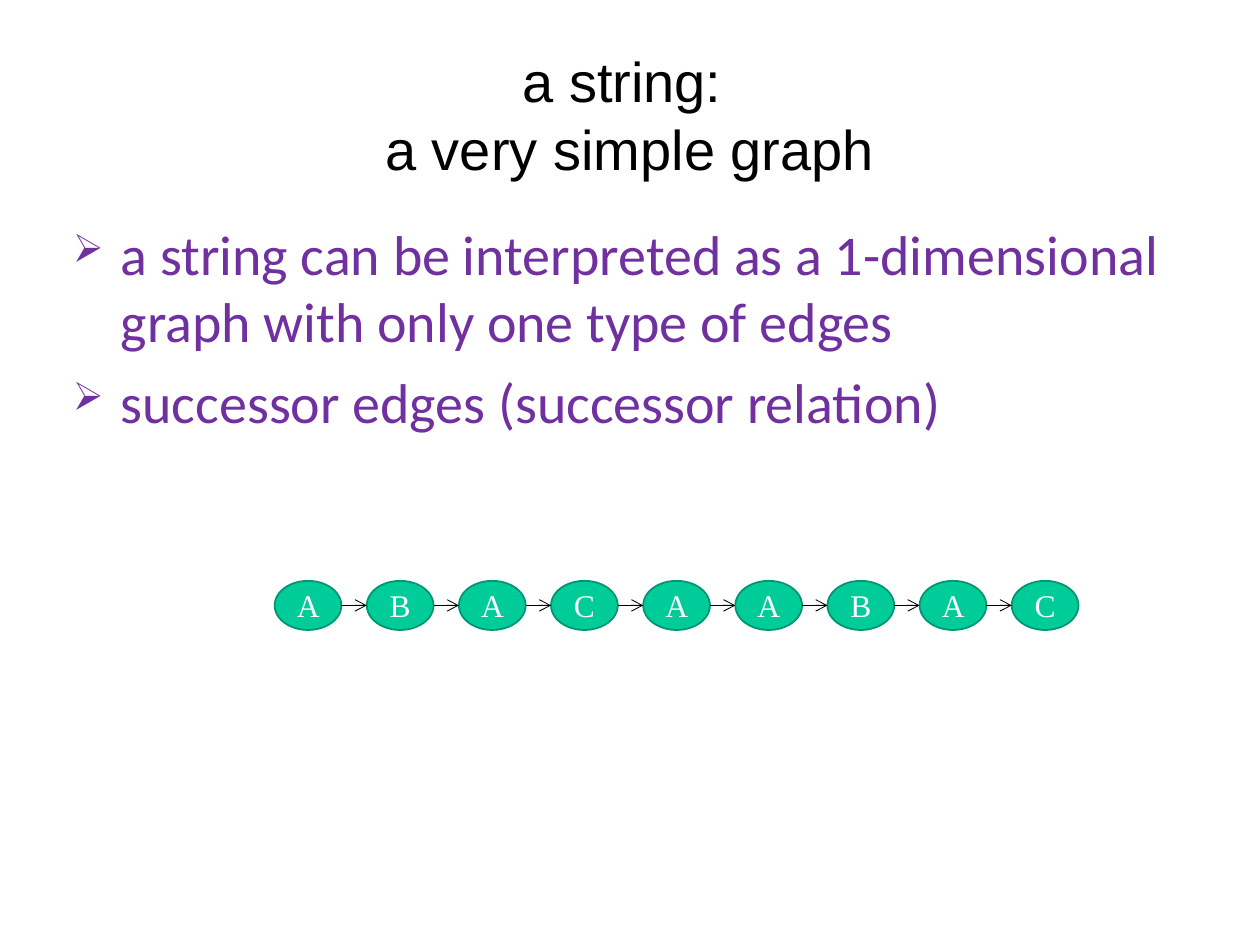
from lxml.etree import SubElement
from pptx import Presentation
from pptx.dml.color import RGBColor
from pptx.enum.shapes import MSO_CONNECTOR, MSO_SHAPE
from pptx.enum.text import MSO_ANCHOR, PP_ALIGN
from pptx.oxml.ns import qn
from pptx.util import Inches, Pt

COLORS = {
    "title": "000000",
    "body": "7030A0",
    "node": "00CC99",
    "node_line": "00956F",
    "node_text": "FFFFFF",
    "edge": "000000",
}
BULLETS = [
    "a string can be interpreted as a 1-dimensional graph with only one type of edges",
    "successor edges (successor relation)",
]


def color(name):
    return RGBColor.from_string(COLORS[name])


def set_font(paragraph, name, size, color_name):
    paragraph.font.name = name
    paragraph.font.size = Pt(size)
    paragraph.font.color.rgb = color(color_name)


def add_title(slide, left, top, width, height):
    frame = slide.shapes.add_textbox(*map(Inches, (left, top, width, height))).text_frame
    frame.word_wrap = True
    frame.vertical_anchor = MSO_ANCHOR.MIDDLE
    paragraph = frame.paragraphs[0]
    paragraph.text = "a string: \va very simple graph"
    paragraph.alignment = PP_ALIGN.CENTER
    set_font(paragraph, "Arial", 32, "title")


def add_bullet_mark(paragraph):
    properties = paragraph._p.get_or_add_pPr()
    properties.set("marL", str(Inches(0.38)))
    properties.set("indent", str(-Inches(0.38)))
    mark_color = SubElement(properties, qn("a:buClr"))
    SubElement(mark_color, qn("a:srgbClr"), val=COLORS["body"])
    SubElement(properties, qn("a:buSzPct"), val="70000")
    SubElement(properties, qn("a:buChar"), char="➢")


def add_bullets(slide, left, top, width, height):
    frame = slide.shapes.add_textbox(*map(Inches, (left, top, width, height))).text_frame
    frame.word_wrap = True
    for index, text in enumerate(BULLETS):
        paragraph = frame.add_paragraph() if index else frame.paragraphs[0]
        paragraph.text = text
        paragraph.space_before = Pt(8)
        add_bullet_mark(paragraph)
        set_font(paragraph, "Calibri", 32, "body")


def add_node(slide, letter, left, top, width, height):
    node = slide.shapes.add_shape(
        MSO_SHAPE.OVAL, *map(Inches, (left, top, width, height)))
    node.shadow.inherit = False
    node.fill.solid()
    node.fill.fore_color.rgb = color("node")
    node.line.color.rgb = color("node_line")
    node.line.width = Pt(1)
    frame = node.text_frame
    frame.vertical_anchor = MSO_ANCHOR.MIDDLE
    paragraph = frame.paragraphs[0]
    paragraph.text = letter
    paragraph.alignment = PP_ALIGN.CENTER
    set_font(paragraph, "Times New Roman", 18, "node_text")


def add_edge(slide, start, end, y):
    edge = slide.shapes.add_connector(
        MSO_CONNECTOR.STRAIGHT, *map(Inches, (start, y, end, y)))
    edge.line.color.rgb = color("edge")
    edge.line.width = Pt(0.5)
    SubElement(edge.line._get_or_add_ln(), qn("a:tailEnd"), type="arrow")
    SubElement(edge._element.spPr, qn("a:effectLst"))


def add_string_graph(slide, letters, left, top, width, height):
    """Spread one node per letter over the box and link each to its successor."""
    node_width = 0.53
    pitch = (width - node_width) / (len(letters) - 1)
    for index, letter in enumerate(letters):
        node_left = left + index * pitch
        add_node(slide, letter, node_left, top, node_width, height)
        if index:
            add_edge(slide, node_left - pitch + node_width, node_left, top + height / 2)


def main():
    presentation = Presentation()
    presentation.slide_width = Inches(10)
    presentation.slide_height = Inches(7.5)
    slide = presentation.slides.add_slide(presentation.slide_layouts[6])
    add_title(slide, 0.75, 0.28, 8.5, 1.25)
    add_bullets(slide, 0.48, 1.69, 9, 2.23)
    add_string_graph(slide, "ABACAABAC", 2.18, 4.61, 6.38, 0.39)
    presentation.save("out.pptx")


if __name__ == "__main__":
    main()
